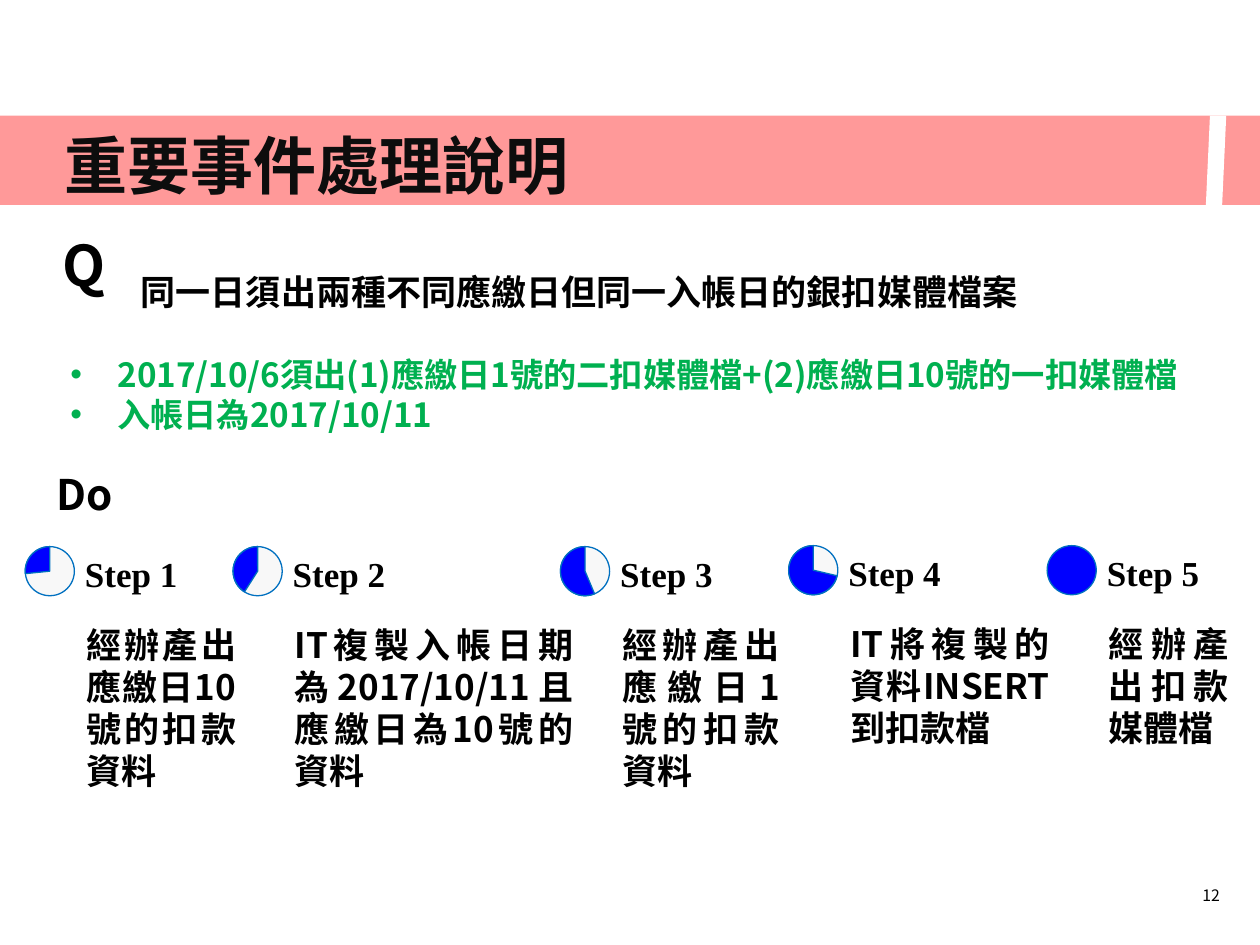
import pptx
import pptx.util
import pptx.dml.color
import pptx.enum.shapes
import pptx.enum.text
import pptx.oxml
import pptx.oxml.ns

Cm = pptx.util.Cm
RGBColor = pptx.dml.color.RGBColor
Shape = pptx.enum.shapes.MSO_SHAPE
Align = pptx.enum.text.PP_ALIGN
Anchor = pptx.enum.text.MSO_ANCHOR

BLACK = RGBColor(0x00, 0x00, 0x00)
NEAR_BLACK = RGBColor(0x0D, 0x0D, 0x0D)
WHITE = RGBColor(0xFF, 0xFF, 0xFF)
PINK = RGBColor(0xFF, 0x99, 0x99)
GREEN = RGBColor(0x00, 0xB0, 0x50)
PALE = RGBColor(0xF8, 0xF8, 0xF8)
BLUE = RGBColor(0x00, 0x00, 0xFF)
OUTLINE = RGBColor(0x00, 0x70, 0xC0)

CHINESE = "Noto Sans CJK SC"
KOREAN = "Noto Sans CJK KR"
SERIF = "Times New Roman"

# Left, top, body width (cm), angle where the filled sector starts, body text
STEPS = [
    (0.51, 11.02, 3.51, 174.18, "經辦產出應繳日10號的扣款資料"),
    (4.7, 11.02, 6.12, 122.42, "IT複製入帳日期為2017/10/11且應繳日為10號的資料"),
    (11.3, 11.02, 3.68, 67.22, "經辦產出應繳日1號的扣款資料"),
    (15.9, 11, 4.52, 13.2, "IT將複製的資料INSERT到扣款檔"),
    (21.11, 11, 2.92, None, "經辦產出扣款媒體檔"),
]


def add_shape(slide, kind, left, top, width, height, fill, line=None):
    shape = slide.shapes.add_shape(kind, Cm(left), Cm(top), Cm(width), Cm(height))
    shape.shadow.inherit = False
    shape.fill.solid()
    shape.fill.fore_color.rgb = fill
    if line is None:
        shape.line.fill.background()
    else:
        shape.line.color.rgb = line
        shape.line.width = pptx.util.Pt(0.75)
    return shape


def add_frame(slide, left, top, width, height, **settings):
    box = slide.shapes.add_textbox(Cm(left), Cm(top), Cm(width), Cm(height))
    for name, value in {"word_wrap": True, **settings}.items():
        setattr(box.text_frame, name, value)
    return box.text_frame


def write(paragraph, text, size, font=CHINESE, color=BLACK, bold=True, **settings):
    run = paragraph.add_run()
    run.text = text
    style = {"name": font, "size": pptx.util.Pt(size), "bold": bold}
    for name, value in style.items():
        setattr(run.font, name, value)
    run.font.color.rgb = color
    east_asian = pptx.oxml.parse_xml(
        f'<a:ea {pptx.oxml.ns.nsdecls("a")} typeface="{font}"/>')
    run.font._element.find(pptx.oxml.ns.qn("a:latin")).addnext(east_asian)
    for name, value in settings.items():
        setattr(paragraph, name, value)


def set_indent(paragraph, margin, indent, bullet=None):
    properties = paragraph._p.get_or_add_pPr()
    properties.set("marL", str(Cm(margin)))
    properties.set("indent", str(Cm(indent)))
    if bullet:
        for tag in (f'a:buFont {pptx.oxml.ns.nsdecls("a")} typeface="Arial"',
                    f'a:buChar {pptx.oxml.ns.nsdecls("a")} char="{bullet}"'):
            properties.append(pptx.oxml.parse_xml(f"<{tag}/>"))


def add_header(slide, left, top, width, height):
    # Band with a slanted gap
    add_shape(slide, Shape.RECTANGLE, left, top, width, height, PINK)
    add_shape(slide, Shape.FLOWCHART_DATA, left + 24.31, top, 0.41, height, WHITE)
    # Title
    frame = add_frame(slide, left + 1.3, top + 0.1, 17.88, 1.75,
                      margin_left=0, margin_right=0, margin_top=0, margin_bottom=0,
                      vertical_anchor=Anchor.MIDDLE)
    write(frame.paragraphs[0], "重要事件處理說明", 36, color=NEAR_BLACK)


def add_question(slide, left, top, width, height):
    # Question and its facts
    frame = add_frame(slide, left + 0.28, top + 0.81, width, height)
    question = frame.paragraphs[0]
    write(question, "同一日須出兩種不同應繳日但同一入帳日的銀扣媒體檔案", 20,
          space_after=pptx.util.Pt(24))
    set_indent(question, 0, 1.42)
    for fact in ("2017/10/6須出(1)應繳日1號的二扣媒體檔+(2)應繳日10號的一扣媒體檔",
                 "入帳日為2017/10/11"):
        paragraph = frame.add_paragraph()
        write(paragraph, fact, 19, color=GREEN)
        set_indent(paragraph, 0.95, -0.95, "•")
    # Section letters
    frame = add_frame(slide, left, top, 1.6, 1.63)
    write(frame.paragraphs[0], "Q", 32, KOREAN, alignment=Align.CENTER)
    frame = add_frame(slide, left, top + 4.8, 6, 1.27)
    write(frame.paragraphs[0], "Do", 24, KOREAN)


def add_step(slide, left, top, width, number, angle, text):
    # Progress dial: a full disc when no angle is given
    dial = (left, top, 0.99, 0.99)
    add_shape(slide, Shape.OVAL, *dial, BLUE if angle is None else PALE, OUTLINE)
    if angle is not None:
        sector = add_shape(slide, Shape.PIE, *dial, BLUE, OUTLINE)
        for index, degrees in enumerate((angle, 270)):
            sector.adjustments[index] = degrees * 0.6  # 60000 units a degree
    # Label and body
    frame = add_frame(slide, left + 0.94, top, 2.39, 1.12, word_wrap=False)
    write(frame.paragraphs[0], f"Step {number}", 20, SERIF, alignment=Align.CENTER)
    frame = add_frame(slide, left + 0.99, top + 1.42, width, 3.68)
    write(frame.paragraphs[0], text, 20, alignment=Align.JUSTIFY)


def add_slide_number(slide, left, top, width, height):
    frame = add_frame(slide, left, top, width, height)
    write(frame.paragraphs[0], "12", 9, bold=False, alignment=Align.RIGHT)


def main():
    presentation = pptx.Presentation()
    presentation.slide_width, presentation.slide_height = Cm(25.4), Cm(19.05)
    slide = presentation.slides.add_slide(presentation.slide_layouts[6])
    add_header(slide, 0, 2.33, 25.4, 1.8)
    add_question(slide, 0.89, 4.52, 23.14, 3.58)
    for number, (left, top, width, angle, text) in enumerate(STEPS, 1):
        add_step(slide, left, top, width, number, angle, text)
    add_slide_number(slide, 23.11, 17.73, 1.73, 0.64)
    presentation.save("out.pptx")


if __name__ == "__main__":
    main()
